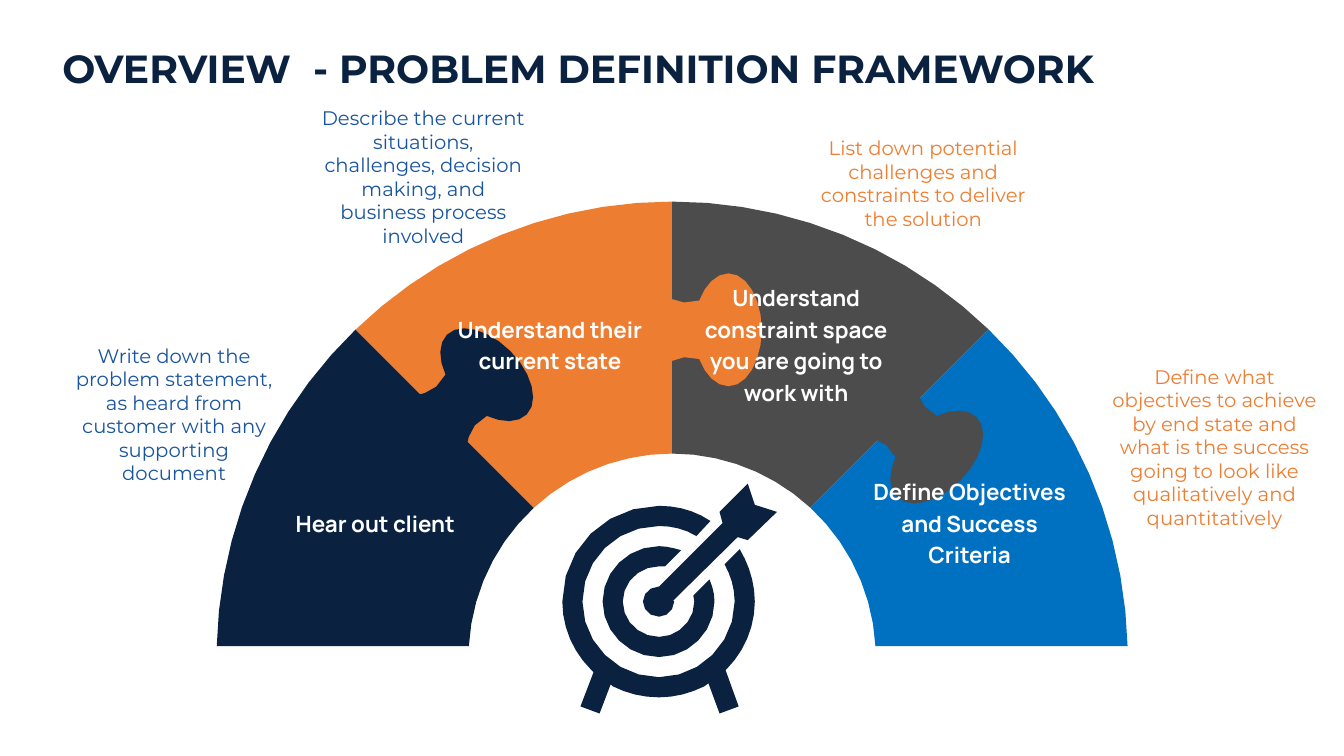
import math

from pptx import Presentation, util as u
from pptx.dml.color import RGBColor
from pptx.enum import text

# Content
NAVY, ORANGE, GREY, BLUE = "0A2240", "ED7D31", "4C4C4C", "0070C0"
NOTE_BLUE, WHITE = "19549E", "FFFFFF"

TITLE = ("OVERVIEW  - PROBLEM DEFINITION FRAMEWORK", (1.32, 0.05, 31.19, 2.41))

# Stages from left to right: label, box in cm, segment colour
STAGES = [
    ("Hear out client", (6.78, 12.67, 5.36, 0.91), NAVY),
    ("Understand their current state", (11.13, 7.77, 5.46, 1.73), ORANGE),
    ("Understand constraint space you are going to work with",
     (17.32, 6.96, 5.49, 3.35), GREY),
    ("Define Objectives and Success Criteria", (21.64, 11.86, 5.59, 2.54), BLUE),
]

# Notes: text, left, top and height in cm, colour
NOTE_WIDTH = 5.18
NOTES = [
    ("Describe the current situations, challenges, decision making, "
     "and business process involved", 8.08, 2.67, 3.58, NOTE_BLUE),
    ("Write down the problem statement, as heard from customer "
     "with any supporting document", 1.8, 8.66, 3.58, NOTE_BLUE),
    ("List down potential challenges and constraints to deliver the solution",
     20.68, 3.43, 2.39, ORANGE),
    ("Define what objectives to achieve by end state and what is the success "
     "going to look like qualitatively and quantitatively",
     28.02, 9.19, 4.19, ORANGE),
]

# Arch: ring centre and radii in cm; joints radiate from a point above the centre
ARCH_X, ARCH_Y = 16.94, 16.56
OUTER, INNER, JOINT_RISE = 11.48, 5.13, 0.28

# Puzzle knobs: head centre in cm, clockwise turn in degrees, colour
KNOBS = [
    (18.36, 8.31, 0, ORANGE),
    (23.61, 11.52, 45, GREY),
    (12.27, 9.44, -45, NAVY),
]

# Outlines in hundredths of an inch: pairs are corners, sixes are curves
GRID = 0.0254
KNOB = [
    (0, 56), (18, 56, 33, 31, 33, 0), (33, -31, 18, -56, 0, -56),
    (-12, -56, -23, -45, -29, -29), (-50, -21, -68, -38, -68, -38),
    (-77, -2), (-77, 3), (-68, 39),
    (-68, 39, -50, 21, -29, 29), (-23, 45, -12, 56, 0, 56),
]
TARGET_X, TARGET_Y = 16.61, 15.16
INNER_RING = [
    (0, -55), (7, -55, 15, -53, 22, -51), (6, -35), (0, -35),
    (-20, -35, -36, -19, -36, 0), (-36, 19, -20, 35, 0, 35),
    (19, 35, 35, 19, 35, 0), (34, -6), (50, -22),
    (53, -15, 55, -8, 55, 0), (55, 30, 30, 55, 0, 55),
    (-31, 55, -56, 30, -56, 0), (-56, -30, -31, -55, 0, -55),
]
STAND_RING = [
    (0, -95), (19, -95, 36, -90, 51, -80), (37, -65), (26, -72, 13, -75, 0, -75),
    (-42, -75, -76, -42, -76, 0), (-76, 41, -42, 75, 0, 75),
    (41, 75, 75, 41, 75, 0), (75, -14, 71, -26, 65, -37), (80, -52),
    (89, -37, 95, -19, 95, 0), (95, 26, 84, 50, 67, 67),
    (66, 68), (79, 104), (60, 111), (49, 81), (45, 84),
    (31, 91, 16, 95, 0, 95), (-17, 95, -32, 91, -46, 84),
    (-48, 82), (-59, 111), (-78, 104), (-65, 70), (-68, 67),
    (-85, 50, -96, 26, -96, 0), (-96, -53, -53, -95, 0, -95),
]
DART = [
    (88, -117), (95, -96), (117, -89), (88, -61), (78, -64), (14, -1), (15, 0),
    (15, 8, 8, 15, 0, 15), (-9, 15, -16, 8, -16, 0),
    (-16, -8, -9, -15, 0, -15), (63, -78), (60, -89),
]

prs = Presentation()
prs.slide_width, prs.slide_height = u.Cm(33.87), u.Cm(19.05)
slide = prs.slides.add_slide(prs.slide_layouts[6])


def rgb(hex_colour):
    return RGBColor.from_string(hex_colour)


def trace(outline):
    """Turn corners and cubic curves into points, more of them on longer curves."""
    points = []
    for part in outline:
        if len(part) == 2:
            points.append(part)
            continue
        curve = [points[-1], part[:2], part[2:4], part[4:]]
        steps = min(6, max(3, math.ceil(math.dist(curve[0], curve[3]) / 12)))
        for step in range(1, steps + 1):
            t = step / steps
            weights = [math.comb(3, i) * t**i * (1 - t)**(3 - i) for i in range(4)]
            points.append(tuple(sum(w * p[axis] for w, p in zip(weights, curve))
                                for axis in (0, 1)))
    return points


def place(points, x, y, turn=0):
    """Scale grid points to cm, turn them and move them to x, y."""
    c, s = math.cos(math.radians(turn)) * GRID, math.sin(math.radians(turn)) * GRID
    return [(x + px * c - py * s, y + px * s + py * c) for px, py in points]


def draw(contours, colour):
    contours = [[(u.Cm(x), u.Cm(y)) for x, y in points] for points in contours]
    builder = slide.shapes.build_freeform(*contours[0][0], scale=1.0)
    for index, points in enumerate(contours):
        if index:
            builder.move_to(*points[0])
        builder.add_line_segments(points[1:], close=True)
    outline = builder.convert_to_shape()
    outline.shadow.inherit = False
    outline.fill.solid()
    outline.fill.fore_color.rgb = rgb(colour)
    outline.line.fill.background()


def ring_arc(radius, start, end, steps):
    """Arc between two joints, whose rays start above the ring centre."""
    first, last = [math.radians(a) + math.asin(
        JOINT_RISE * math.cos(math.radians(a)) / radius) for a in (start, end)]
    angles = [first + (last - first) * i / steps for i in range(steps + 1)]
    return [(ARCH_X + radius * math.cos(a), ARCH_Y - radius * math.sin(a))
            for a in angles]


def write(words, box, font, size, colour, bold=False, align=text.PP_ALIGN.CENTER,
          anchor=text.MSO_ANCHOR.TOP, insets=(0, 0), spacing=None, before=0,
          grow=True):
    frame = slide.shapes.add_textbox(*map(u.Cm, box)).text_frame
    frame.word_wrap = True
    frame.auto_size = (text.MSO_AUTO_SIZE.SHAPE_TO_FIT_TEXT if grow
                       else text.MSO_AUTO_SIZE.NONE)
    frame.vertical_anchor = anchor
    frame.margin_left = frame.margin_right = u.Cm(insets[0])
    frame.margin_top = frame.margin_bottom = u.Cm(insets[1])
    paragraph = frame.paragraphs[0]
    paragraph.alignment = align
    paragraph.line_spacing = spacing
    paragraph.space_before = u.Pt(before)
    run = paragraph.add_run()
    run.text = words
    run.font.name, run.font.size, run.font.bold = font, u.Pt(size), bold
    run.font.color.rgb = rgb(colour)


# Arch segments
sweep = 180 / len(STAGES)
for index, (_, _, colour) in enumerate(STAGES):
    start, end = 180 - index * sweep, 180 - (index + 1) * sweep
    draw([ring_arc(OUTER, start, end, 10) + ring_arc(INNER, end, start, 7)], colour)

# Puzzle knobs
for x, y, turn, colour in KNOBS:
    draw([place(trace(KNOB), x, y, turn)], colour)

# Target with dart
draw([place(trace(part), TARGET_X, TARGET_Y)
      for part in (INNER_RING, STAND_RING, DART)], NAVY)

# Stage labels
for label, box, _ in STAGES:
    write(label, box, "Manrope", 16, WHITE, bold=True,
          anchor=text.MSO_ANCHOR.MIDDLE, insets=(0.13, 0.08),
          spacing=u.Pt(22.5), before=3.2)

# Title
write(*TITLE, "Montserrat", 28, NAVY, bold=True, align=text.PP_ALIGN.LEFT,
      anchor=text.MSO_ANCHOR.BOTTOM, insets=(0.25, 0.13), spacing=0.9, grow=False)

# Notes around the arch
for note, left, top, height, colour in NOTES:
    write(note, (left, top, NOTE_WIDTH, height), "Montserrat", 14, colour)

prs.save("out.pptx")
